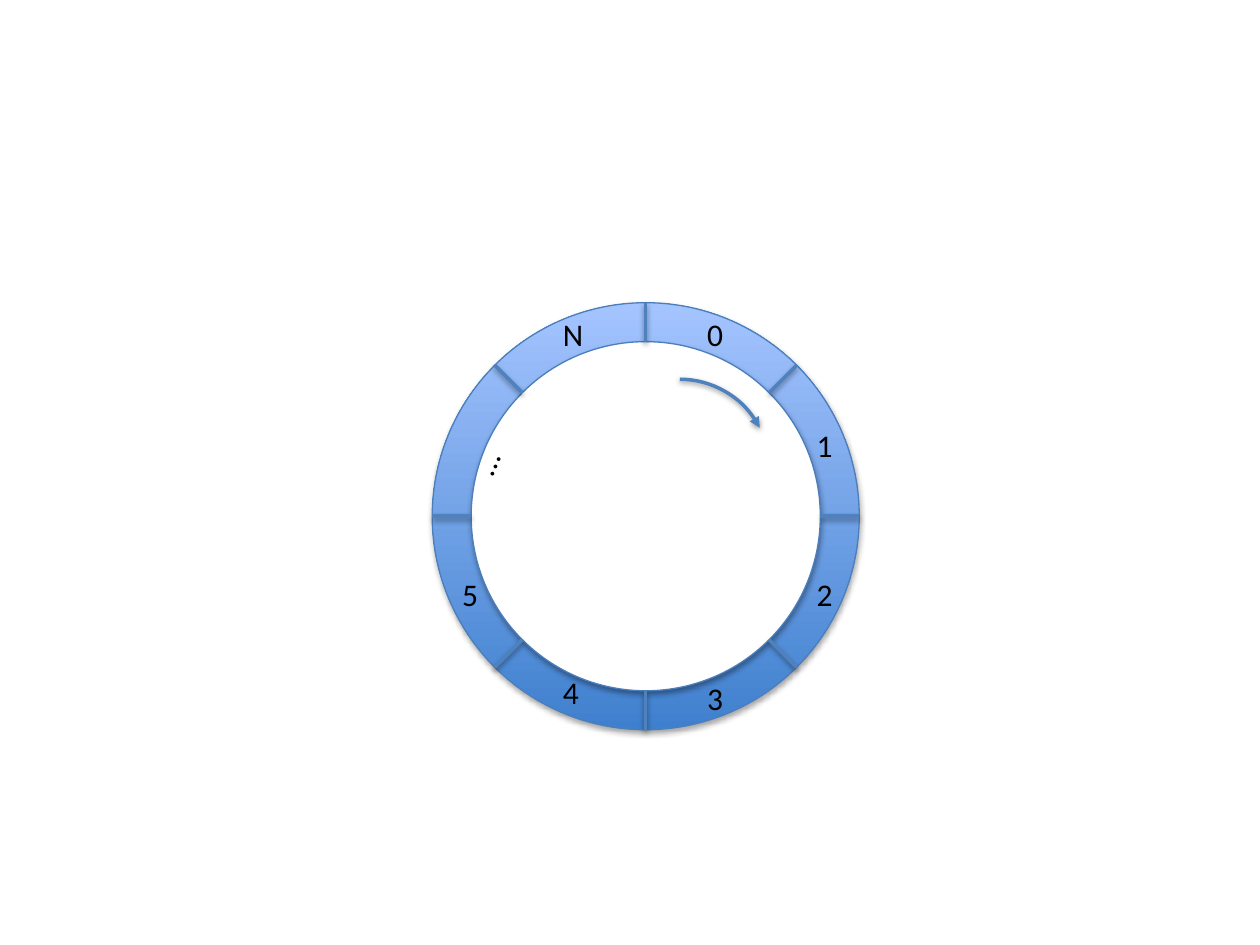
from math import cos, radians, sin

from lxml.etree import SubElement
from pptx import Presentation
from pptx.dml.color import RGBColor as Rgb
from pptx.enum.shapes import MSO_CONNECTOR as Link, MSO_SHAPE as Preset
from pptx.enum.text import MSO_AUTO_SIZE as AutoSize
from pptx.oxml.ns import qn
from pptx.util import Pt

# Content: text, left, top, width, rotation
LABELS = [
    ("0", 397, 176.5, 24, 0),
    ("1", 459.5, 240, 24, 0),
    ("2", 459.5, 325, 24, 0),
    ("3", 397, 384.5, 24, 0),
    ("4", 314.5, 381, 24, 0),
    ("5", 257, 325, 24, 0),
    ("N", 314.5, 176.5, 26, 0),
    ("…", 259, 242, 44, 293.1),
]
LABEL_HEIGHT = 29
SEGMENTS = 8
CENTER = (369, 295)
OUTER, INNER = 122, 99.75
ARROW = {"center": (388.5, 268.25), "radius": 51.5, "start": 270, "end": 332.5}

THEME = {
    "font": {"name": "Calibri", "size": Pt(18)},
    "text": "000000",
    "ring": ("3F80CE", "A4C4FF"),
    "hole": "FFFFFF",
    "edge": ("4B7EBC", 0.75),
    "stroke": ("4F81BD", 2),
    "edge_shadow": {"alpha": 35, "blur": 3.1, "dist": 1.8},
    "stroke_shadow": {"alpha": 38, "blur": 3.1, "dist": 1.6},
}


def set_line(shape, color, width):
    shape.line.color.rgb = Rgb.from_string(color)
    shape.line.width = Pt(width)


def add_shadow(shape, alpha, blur, dist):
    """Cast a soft black shadow straight down."""
    props = shape._element.spPr
    for old in props.findall(qn("a:effectLst")):
        props.remove(old)
    effects = SubElement(props, qn("a:effectLst"))
    outer = SubElement(effects, qn("a:outerShdw"), blurRad=str(Pt(blur)),
                       dist=str(Pt(dist)), dir="5400000", rotWithShape="0")
    color = SubElement(outer, qn("a:srgbClr"), val="000000")
    SubElement(color, qn("a:alpha"), val=str(alpha * 1000))


def add_round(shapes, preset, center, radius, line, shadow):
    x, y = center
    shape = shapes.add_shape(preset, Pt(x - radius), Pt(y - radius),
                             Pt(2 * radius), Pt(2 * radius))
    set_line(shape, *THEME[line])
    add_shadow(shape, **THEME[shadow])
    return shape


def ring_point(radius, angle):
    return (Pt(CENTER[0] + radius * cos(radians(angle))),
            Pt(CENTER[1] + radius * sin(radians(angle))))


deck = Presentation()
deck.slide_width, deck.slide_height = Pt(720), Pt(540)
page = deck.slides.add_slide(deck.slide_layouts[6])
shapes = page.shapes.add_group_shape().shapes

# Ring
ring = add_round(shapes, Preset.OVAL, CENTER, OUTER, "edge", "edge_shadow")
ring.fill.gradient()
ring.fill.gradient_angle = 90
for stop, color in zip(ring.fill.gradient_stops, THEME["ring"]):
    stop.color.rgb = Rgb.from_string(color)
hole = add_round(shapes, Preset.OVAL, CENTER, INNER, "edge", "edge_shadow")
hole.fill.solid()
hole.fill.fore_color.rgb = Rgb.from_string(THEME["hole"])

# Dividers between segments, clockwise from the top
for index in range(SEGMENTS):
    angle = 360 * index / SEGMENTS - 90
    divider = shapes.add_connector(Link.STRAIGHT, *ring_point(OUTER, angle),
                                   *ring_point(INNER, angle))
    set_line(divider, *THEME["stroke"])
    add_shadow(divider, **THEME["stroke_shadow"])

# Direction arrow
arrow = add_round(shapes, Preset.ARC, ARROW["center"], ARROW["radius"],
                  "stroke", "stroke_shadow")
arrow.fill.background()
for index, key in enumerate(("start", "end")):
    arrow.adjustments[index] = ARROW[key] * 0.6  # 60000ths of a degree
SubElement(arrow.line._get_or_add_ln(), qn("a:tailEnd"), type="triangle")

# Segment labels
for text, left, top, width, rotation in LABELS:
    box = shapes.add_textbox(Pt(left), Pt(top), Pt(width), Pt(LABEL_HEIGHT))
    box.rotation = rotation
    frame = box.text_frame
    frame.word_wrap = False
    frame.auto_size = AutoSize.SHAPE_TO_FIT_TEXT
    span = frame.paragraphs[0].add_run()
    span.text = text
    for name, value in THEME["font"].items():
        setattr(span.font, name, value)
    span.font.color.rgb = Rgb.from_string(THEME["text"])

deck.save("out.pptx")
